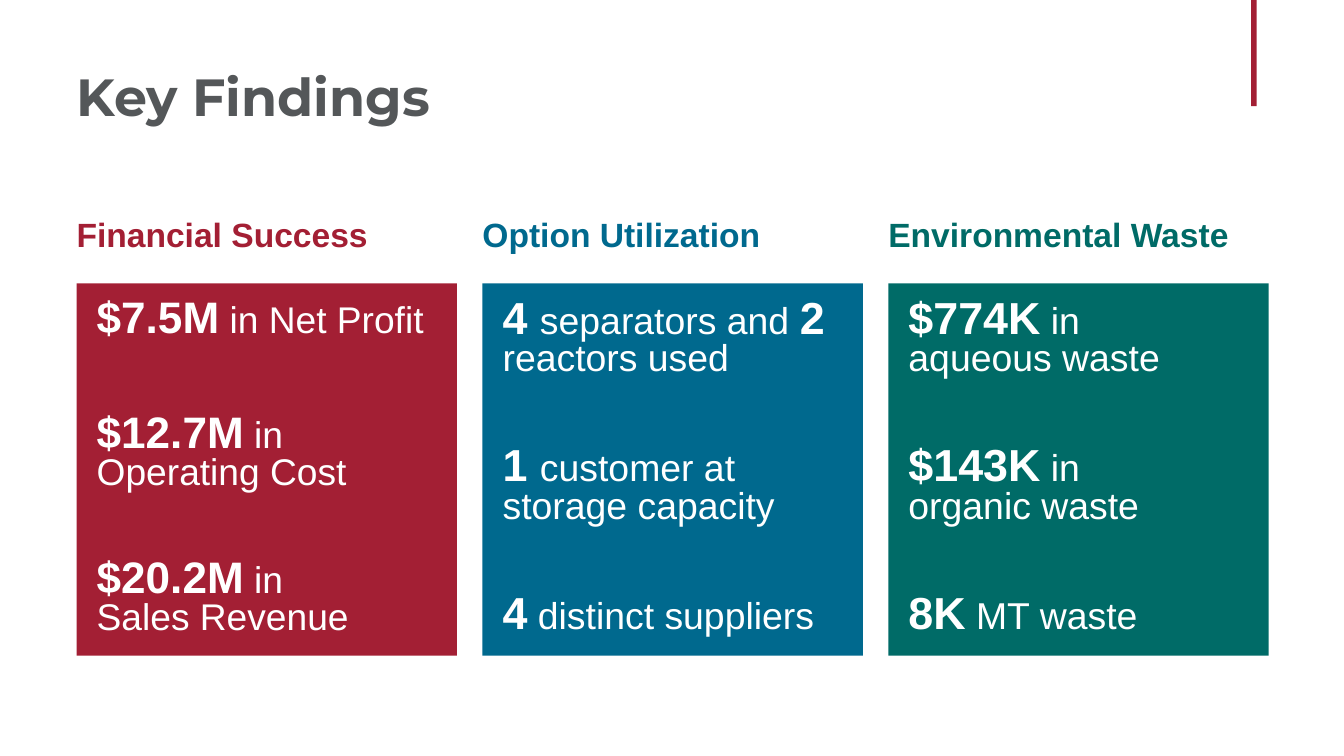
from dataclasses import dataclass
from pptx import Presentation
from pptx.dml.color import RGBColor
from pptx.enum.shapes import MSO_SHAPE
from pptx.enum.text import MSO_ANCHOR, MSO_AUTO_SIZE, PP_ALIGN
from pptx.util import Inches, Pt


@dataclass
class Theme:
    red: str = "A31F34"
    blue: str = "00698E"
    green: str = "006B67"
    gray: str = "545759"
    white: str = "FFFFFF"
    body: str = "Arial"
    head: str = "Montserrat"
    title: float = 28
    label: float = 18


theme = Theme()


def setup(shape, anchor, pads):
    frame = shape.text_frame
    frame.word_wrap = True
    frame.auto_size = MSO_AUTO_SIZE.NONE
    frame.vertical_anchor = anchor
    (frame.margin_left, frame.margin_top,
     frame.margin_right, frame.margin_bottom) = [Inches(pad) for pad in pads]
    return frame


def style(para, name, size, color, bold):
    para.alignment = PP_ALIGN.LEFT
    para.font.name = name
    para.font.size = Pt(size)
    para.font.bold = bold
    para.font.color.rgb = RGBColor.from_string(color)


deck = Presentation()
deck.slide_width = Inches(10)
deck.slide_height = deck.slide_width * 9 // 16
slide = deck.slides.add_slide(deck.slide_layouts[5])
shapes = slide.shapes

left, wide, step = Inches(0.57), Inches(2.83), Inches(3.02)
top, tall, high = Inches(2.11), Inches(2.77), Inches(0.7)

bar = shapes.add_shape(MSO_SHAPE.RECTANGLE, Inches(9.31), 0, Inches(0.04), Inches(0.79))
bar.shadow.inherit = False
bar.fill.solid()
bar.fill.fore_color.rgb = RGBColor.from_string(theme.red)
bar.line.fill.background()

title = shapes.title
title.left, title.top, title.width, title.height = left, Inches(0.25), Inches(7.36), Inches(0.93)
frame = setup(title, MSO_ANCHOR.MIDDLE, (0, 0.04, 0.07, 0.04))
frame.text = "Key Findings"
style(frame.paragraphs[0], theme.head, theme.title, theme.gray, True)

columns = [
    ("Financial Success", theme.red, 23.6, 19.9, (0, 39, 36), [
        [("$7.5M", True), (" in Net Profit", False)],
        [("$12.7M", True), (" in\nOperating Cost", False)],
        [("$20.2M", True), (" in\nSales Revenue", False)]]),
    ("Option Utilization", theme.blue, 24, 20, (0, 37, 37), [
        [("4 ", True), ("separators and ", False), ("2 ", True), ("reactors used", False)],
        [("1 ", True), ("customer at storage capacity", False)],
        [("4", True), (" distinct suppliers", False)]]),
    ("Environmental Waste", theme.green, 24, 20, (0, 37, 37), [
        [("$774K", True), (" in\naqueous waste", False)],
        [("$143K", True), (" in\norganic waste", False)],
        [("8K", True), (" MT waste", False)]]),
]

for col, (label, color, big, small, gaps, facts) in enumerate(columns):
    x = left + col * step
    head = shapes.add_textbox(x, top - high, wide, high)
    frame = setup(head, MSO_ANCHOR.MIDDLE, (0, 0, 0.07, 0.04))
    frame.text = label
    para = frame.paragraphs[0]
    para.space_after = Pt(9)
    style(para, theme.body, theme.label, color, True)

    card = shapes.add_shape(MSO_SHAPE.RECTANGLE, x, top, wide, tall)
    card.shadow.inherit = False
    card.fill.solid()
    card.fill.fore_color.rgb = RGBColor.from_string(color)
    card.line.fill.background()
    frame = setup(card, MSO_ANCHOR.TOP, (0.15, 0.12, 0.15, 0.12))
    for row, (fact, gap) in enumerate(zip(facts, gaps)):
        para = frame.add_paragraph() if row else frame.paragraphs[0]
        para.line_spacing = 0.8
        if row:
            para.space_before = Pt(gap)
        style(para, theme.body, small, theme.white, False)
        for text, strong in fact:
            for part, line in enumerate(text.split("\n")):
                if part:
                    para.add_line_break()
                run = para.add_run()
                run.text = line
                if strong:
                    run.font.bold = True
                    run.font.size = Pt(big)

deck.save("out.pptx")
